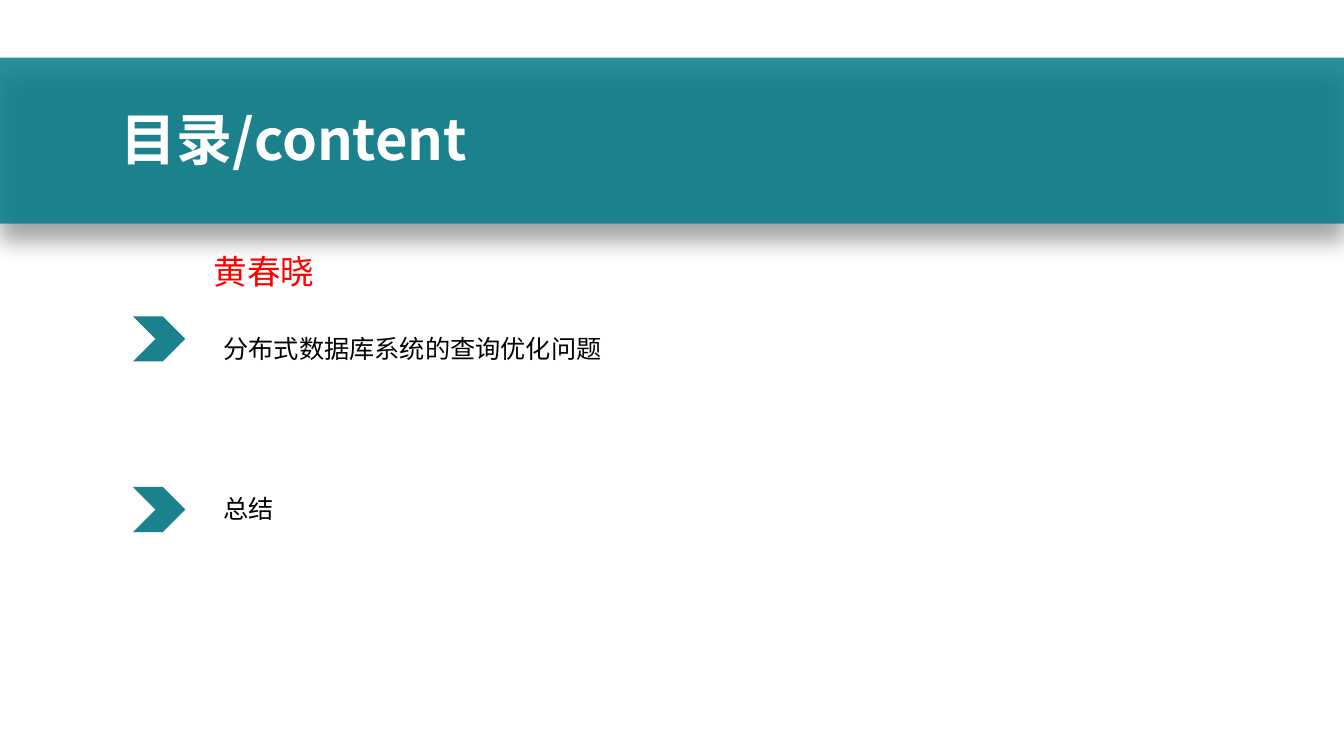
from lxml import etree
from pptx import Presentation
from pptx import util as u
from pptx.dml.color import RGBColor
from pptx.enum import shapes, text
from pptx.oxml.ns import qn

COLORS = {"band": "047D8A", "chevron": "1B828D", "title": "FFFFFF",
          "text": "000000", "name": "FF0000", "shadow": "000000"}
FONT = "Noto Sans CJK SC"


class ContentsSlide:
    def __init__(self, prs):
        self.s = prs.slides.add_slide(prs.slide_layouts[3])

    def place(self, sp, left, top, width, height):
        sp.left, sp.top = u.Cm(left), u.Cm(top)
        sp.width, sp.height = u.Cm(width), u.Cm(height)

    def shape(self, kind, color, *box):
        sp = self.s.shapes.add_shape(kind, *(u.Cm(v) for v in box))
        sp.shadow.inherit = False
        sp.fill.solid()
        sp.fill.fore_color.rgb = RGBColor.from_string(COLORS[color])
        sp.line.fill.background()
        return sp

    def band(self, *box):
        sp = self.shape(shapes.MSO_SHAPE.RECTANGLE, "band", *box)
        spPr = sp._element.spPr
        fill = spPr.find(qn("a:solidFill"))
        etree.SubElement(fill[0], qn("a:alpha"), val="85000")
        shadow = etree.SubElement(
            spPr.find(qn("a:effectLst")), qn("a:outerShdw"),
            blurRad=str(u.Pt(16)), dist=str(u.Pt(12)), dir="5400000",
            algn="t", rotWithShape="0")
        color = etree.SubElement(shadow, qn("a:srgbClr"), val=COLORS["shadow"])
        etree.SubElement(color, qn("a:alpha"), val="42000")

    def set_text(self, sp, words, size, color, bold=False):
        tf = sp.text_frame
        tf.text = words
        tf.word_wrap = True
        tf.auto_size = text.MSO_AUTO_SIZE.NONE
        tf.vertical_anchor = text.MSO_ANCHOR.MIDDLE
        p = tf.paragraphs[0]
        r = p.runs[0]
        r.font.size = u.Pt(size)
        r.font.bold = bold
        r.font.name = FONT
        r.font.color.rgb = RGBColor.from_string(COLORS[color])
        etree.SubElement(r._r.get_or_add_rPr(), qn("a:ea"), typeface=FONT)
        return p

    def title(self, words, *box):
        sp = self.s.shapes.title
        self.place(sp, *box)
        self.s.shapes._spTree.append(sp._element)
        p = self.set_text(sp, words, 40, "title", bold=True)
        p.alignment = text.PP_ALIGN.JUSTIFY

    def item(self, idx, words, *box):
        sp = self.s.placeholders[idx]
        self.place(sp, *box)
        p = self.set_text(sp, words, 18, "text")
        pPr = p._p.get_or_add_pPr()
        pPr.set("marL", "0")
        pPr.set("indent", "0")
        etree.SubElement(pPr, qn("a:buNone"))
        p.alignment = text.PP_ALIGN.JUSTIFY
        p.line_spacing = 2.4
        p.space_before = u.Pt(0)

    def label(self, words, *box):
        sp = self.s.shapes.add_textbox(*(u.Cm(v) for v in box))
        self.set_text(sp, words, 24, "name")


def main():
    prs = Presentation()
    prs.slide_width, prs.slide_height = u.Cm(33.87), u.Cm(19.05)
    slide = ContentsSlide(prs)
    slide.band(0, 1.45, 33.87, 4.19)
    slide.title("目录/content", 2.79, 2.51, 12.75, 1.96)
    chevron = shapes.MSO_SHAPE.CHEVRON
    topics = [("分布式数据库系统的查询优化问题", 7.97, 7.34),
              ("总结", 12.27, 11.38)]
    for idx, (words, chevron_top, text_top) in enumerate(topics, 1):
        slide.shape(chevron, "chevron", 3.35, chevron_top, 1.32, 1.14)
        slide.item(idx, words, 5.38, text_top, 17.5, 1.8)
    slide.label("黄春晓", 5.13, 6.2, 10.39, 1.27)
    prs.save("out.pptx")


if __name__ == "__main__":
    main()
